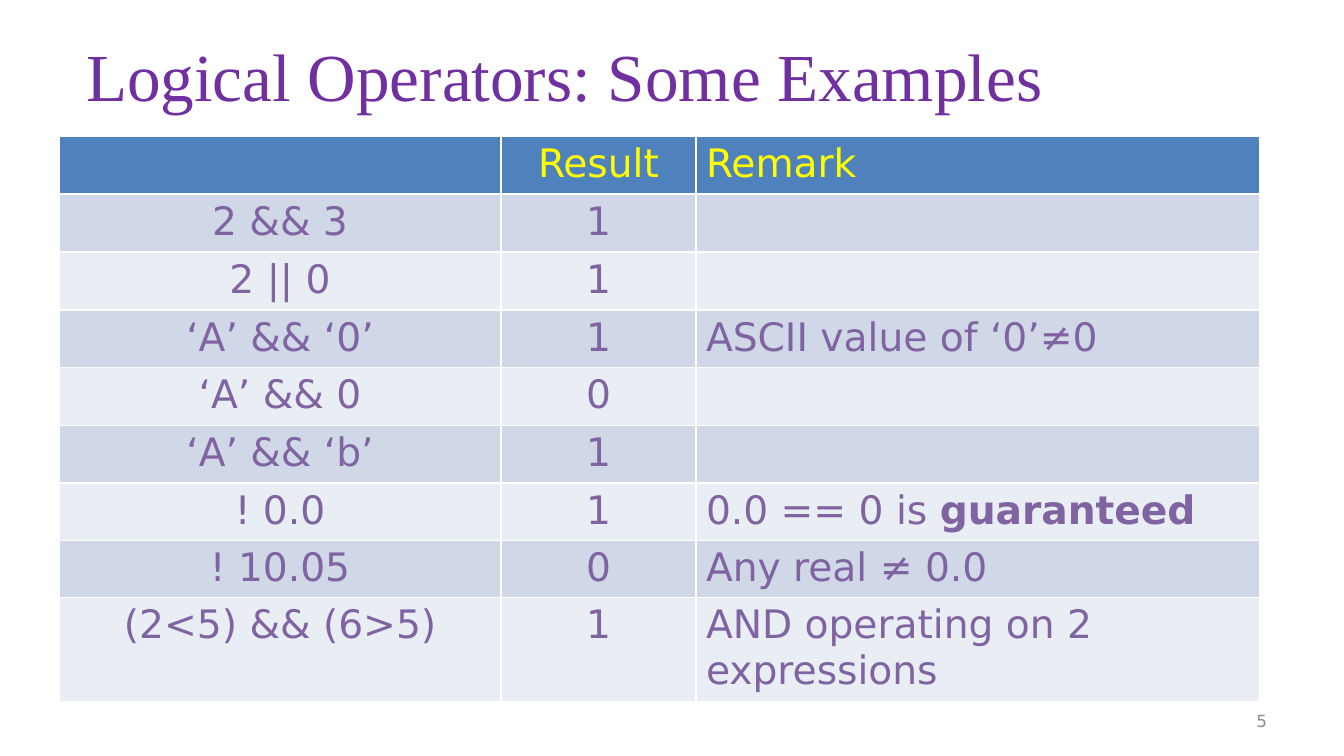
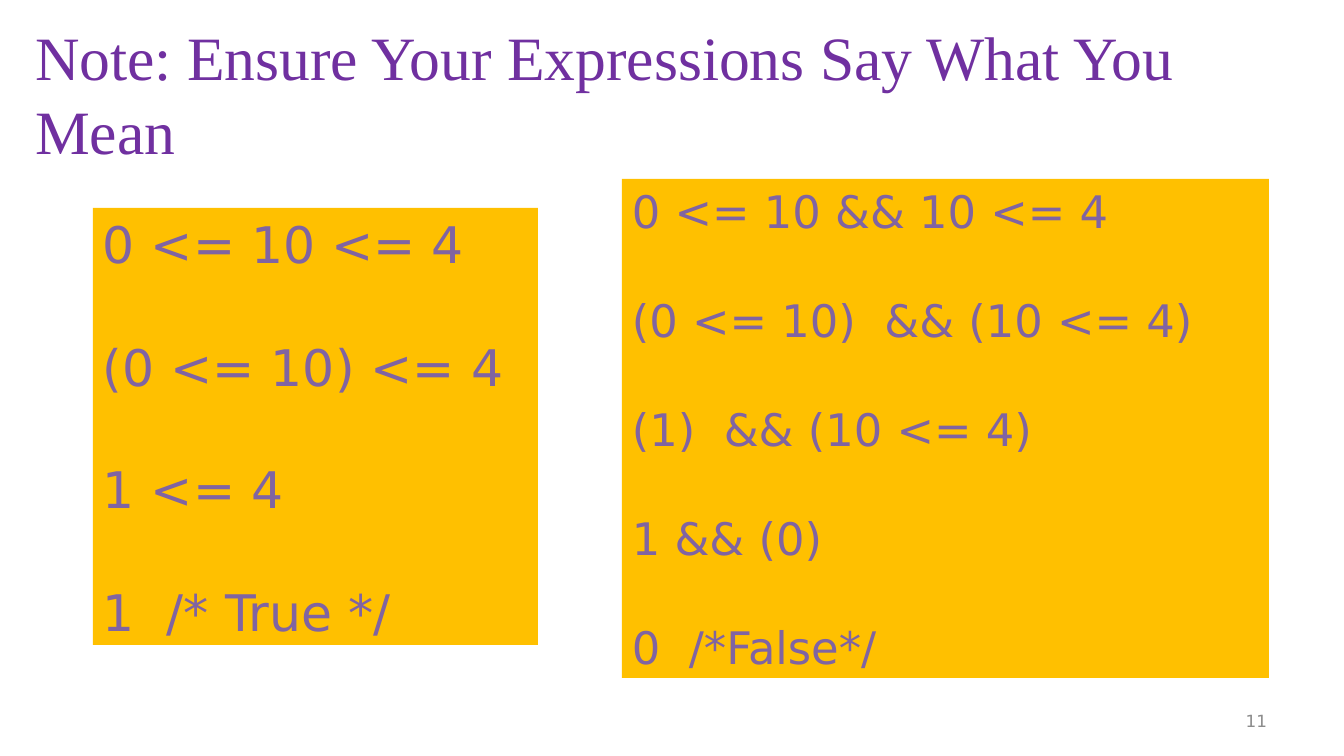
from dataclasses import dataclass

from pptx import Presentation
from pptx.dml.color import RGBColor
from pptx.enum.shapes import MSO_SHAPE
from pptx.enum.text import MSO_ANCHOR, MSO_AUTO_SIZE, PP_ALIGN
from pptx.util import Pt

RECT = MSO_SHAPE.RECTANGLE
MIDDLE, TOP = MSO_ANCHOR.MIDDLE, MSO_ANCHOR.TOP
LEFT, CENTER, RIGHT = PP_ALIGN.LEFT, PP_ALIGN.CENTER, PP_ALIGN.RIGHT
NO_FIT = MSO_AUTO_SIZE.NONE

# Content
TABLE = {
    "title": "Logical Operators: Some Examples",
    "number": "5",
    "rows": [
        ("", "Result", "Remark"),
        ("2 && 3", "1", ""),
        ("2 || 0", "1", ""),
        ("‘A’ && ‘0’", "1", "ASCII value of ‘0’≠0"),
        ("‘A’ && 0", "0", ""),
        ("‘A’ && ‘b’", "1", ""),
        ("! 0.0", "1", "0.0 == 0 is *guaranteed"),
        ("! 10.05", "0", "Any real ≠ 0.0"),
        ("(2<5) && (6>5)", "1", "AND operating on 2 expressions"),
    ],
    "widths": (442, 195, 564),
    "heights": (58, 58, 58, 56, 58, 58, 56, 56, 101),
    "aligns": (CENTER, CENTER, LEFT),
}
NOTE = {
    "title": "Note: Ensure Your Expressions Say What You Mean",
    "number": "11",
    "boxes": [
        # place, type size, gap in points, lines
        ((93, 208, 445, 437), 36, 44.5,
         ["0 <= 10 <= 4", "(0 <= 10) <= 4", "1 <= 4", "1  /* True */"]),
        ((622, 179, 647, 499), 32, 39.5,
         ["0 <= 10 && 10 <= 4", "(0 <= 10)  && (10 <= 4)",
          "(1)  && (10 <= 4)", "1 && (0)", "0  /*False*/"]),
    ],
}


@dataclass
class Theme:
    serif: str = "Times New Roman"
    sans: str = "DejaVu Sans"
    title: str = "7030A0"
    text: str = "8064A2"
    head: str = "FFFF00"
    number: str = "8C8C8C"
    band: str = "4F81BD"
    stripes: tuple = ("E9EDF4", "D0D8E8")
    box: str = "FFC000"
    cell_size: int = 28
    number_size: int = 12


theme = Theme()
SCALE = 914400 / 100.8


def emu(*pixels):
    return [round(p * SCALE) for p in pixels]


def style(par, size, color, font=theme.sans, align=LEFT):
    par.alignment = align
    for run in par.runs:
        run.font.size = Pt(size)
        run.font.name = font
        run.font.color.rgb = RGBColor.from_string(color)


def paint(item, color):
    item.fill.solid()
    item.fill.fore_color.rgb = RGBColor.from_string(color)


# Shared title and slide number
def add_page(deck, data, place, size):
    page = deck.slides.add_slide(deck.slide_layouts[5])
    title = page.shapes.title
    title.left, title.top, title.width, title.height = emu(*place)
    frame = title.text_frame
    frame.text = data["title"]
    frame.auto_size = NO_FIT
    frame.vertical_anchor = MIDDLE
    style(frame.paragraphs[0], size, theme.title, theme.serif)

    number = page.shapes.add_textbox(*emu(964, 701, 313, 40)).text_frame
    number.text = data["number"]
    number.word_wrap = True
    number.vertical_anchor = MIDDLE
    style(number.paragraphs[0], theme.number_size, theme.number, align=RIGHT)
    return page


# Text after an asterisk is bold
def fill_cell(cell, text, color, align):
    par = cell.text_frame.paragraphs[0]
    for i, part in enumerate(text.split("*")):
        if part:
            run = par.add_run()
            run.text = part
            run.font.bold = i == 1
    style(par, theme.cell_size, color, align=align)


def add_grid(page, data):
    rows, widths, heights = data["rows"], data["widths"], data["heights"]
    place = emu(59, 136, sum(widths), sum(heights))
    grid = page.shapes.add_table(len(rows), len(widths), *place).table
    for col, width in zip(grid.columns, emu(*widths)):
        col.width = width
    for row, height in zip(grid.rows, emu(*heights)):
        row.height = height
    for r, row in enumerate(rows):
        color = theme.text if r else theme.head
        back = theme.stripes[r % 2] if r else theme.band
        for c, text in enumerate(row):
            cell = grid.cell(r, c)
            paint(cell, back)
            fill_cell(cell, text, color, data["aligns"][c])


def add_box(page, place, size, gap, lines):
    box = page.shapes.add_shape(RECT, *emu(*place))
    box.shadow.inherit = False
    paint(box, theme.box)
    box.line.fill.background()
    frame = box.text_frame
    frame.word_wrap = True
    frame.vertical_anchor = TOP
    frame.text = "\n".join(lines)
    for i, par in enumerate(frame.paragraphs):
        par.space_before = Pt(gap if i else 0)
        style(par, size, theme.text)


# Build
deck = Presentation()
deck.slide_width, deck.slide_height = emu(1344, 756)
add_grid(add_page(deck, TABLE, (76, 33, 1000, 84), 48), TABLE)
note = add_page(deck, NOTE, (25, 30, 1285, 126), 44)
for box in NOTE["boxes"]:
    add_box(note, *box)
deck.save("out.pptx")
